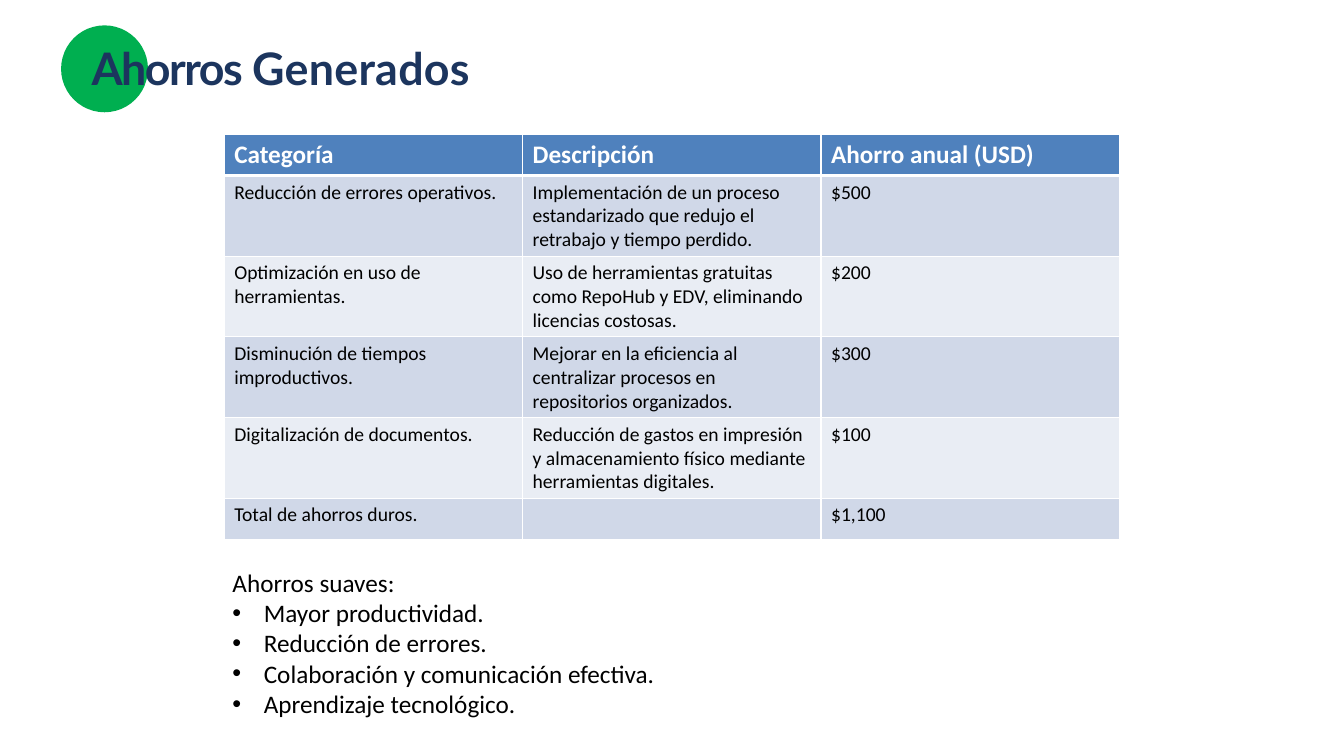
from lxml import etree
from pptx import Presentation
from pptx.dml.color import RGBColor
from pptx.enum.shapes import MSO_SHAPE
from pptx.enum.text import MSO_AUTO_SIZE
from pptx.oxml.ns import qn
from pptx.util import Cm, Pt

COLORS = {
    "green": "00AF50", "navy": "1C355E", "white": "FFFFFF", "black": "000000",
    "header": "4F81BD", "band_dark": "D0D8E8", "band_light": "E9EDF4",
}


def color(name):
    return RGBColor.from_string(COLORS[name])


def set_font(font, name, size, color_name, bold=False):
    font.name, font.size, font.bold = name, Pt(size), bold
    font.color.rgb = color(color_name)


prs = Presentation()
prs.slide_width, prs.slide_height = Cm(33.87), Cm(19.05)
slide = prs.slides.add_slide(prs.slide_layouts[6])

# Green disc behind the title
disc = slide.shapes.add_shape(MSO_SHAPE.OVAL, Cm(1.54), Cm(0.64), Cm(2.19), Cm(2.19))
disc.shadow.inherit = False
disc.fill.solid()
disc.fill.fore_color.rgb = color("green")
disc.line.fill.background()

# Title, with its own letter spacing for each word
title = slide.shapes.add_textbox(Cm(2.31), Cm(0.99), Cm(10.72), Cm(1.42)).text_frame
title.word_wrap = True
title.margin_left = title.margin_right = title.margin_bottom = 0
title.margin_top = Cm(0.03)
heading = title.paragraphs[0]
heading.space_before = Pt(1)
set_font(heading.font, "Lato", 32, "navy", bold=True)
for word, spacing in (("Ahorros ", -110), ("Generados", 20)):
    run = heading.add_run()
    run.text = word
    set_font(run.font, "Lato", 32, "navy", bold=True)
    run.font._element.set("spc", str(spacing))

# Savings table
savings_rows = [
    ("Categoría", "Descripción", "Ahorro anual (USD)"),
    ("Reducción de errores operativos.",
     "Implementación de un proceso estandarizado que redujo el retrabajo y tiempo perdido.",
     "$500"),
    ("Optimización en uso de herramientas.",
     "Uso de herramientas gratuitas como RepoHub y EDV, eliminando licencias costosas.",
     "$200"),
    ("Disminución de tiempos improductivos.",
     "Mejorar en la eficiencia al centralizar procesos en repositorios organizados.",
     "$300"),
    ("Digitalización de documentos.",
     "Reducción de gastos en impresión y almacenamiento físico mediante herramientas digitales.",
     "$100"),
    ("Total de ahorros duros.", "", "$1,100"),
]
savings = slide.shapes.add_table(
    len(savings_rows), 3, Cm(5.65), Cm(3.39), Cm(22.56), Cm(6.18)).table
for row, texts in enumerate(savings_rows):
    is_header = row == 0
    band = "header" if is_header else "band_dark" if row % 2 else "band_light"
    for column, text in enumerate(texts):
        cell = savings.cell(row, column)
        cell.text = text
        if is_header:
            set_font(cell.text_frame.paragraphs[0].font, "Calibri", 18, "white", bold=True)
        else:
            set_font(cell.text_frame.paragraphs[0].font, "Calibri", 14, "black")
        # White borders, thicker between the header and the body
        cell_props = cell._tc.get_or_add_tcPr()
        for side in "LRTB":
            thick = (is_header and side == "B") or (row == 1 and side == "T")
            border = etree.SubElement(cell_props, qn(f"a:ln{side}"), w=str(Pt(3 if thick else 1)))
            border_fill = etree.SubElement(border, qn("a:solidFill"))
            etree.SubElement(border_fill, qn("a:srgbClr"), val=COLORS["white"])
        cell.fill.solid()
        cell.fill.fore_color.rgb = color(band)

# Soft savings: a lead line and its bullets
soft_savings = slide.shapes.add_textbox(Cm(5.61), Cm(14.17), Cm(21.79), Cm(4.11)).text_frame
soft_savings.word_wrap = True
soft_savings.auto_size = MSO_AUTO_SIZE.SHAPE_TO_FIT_TEXT
soft_lines = [
    "Ahorros suaves:",
    "Mayor productividad.",
    "Reducción de errores.",
    "Colaboración y comunicación efectiva.",
    "Aprendizaje tecnológico.",
]
for index, text in enumerate(soft_lines):
    line = soft_savings.add_paragraph() if index else soft_savings.paragraphs[0]
    line.text = text
    set_font(line.font, "Calibri", 18, "black")
    if index:
        line_props = line._p.get_or_add_pPr()
        line_props.set("marL", str(Cm(0.79)))
        line_props.set("indent", str(-Cm(0.79)))
        bullet_font = etree.Element(qn("a:buFont"), typeface="Arial")
        line_props.insert(0, bullet_font)
        bullet_font.addnext(etree.Element(qn("a:buChar"), char="•"))

prs.save("out.pptx")
